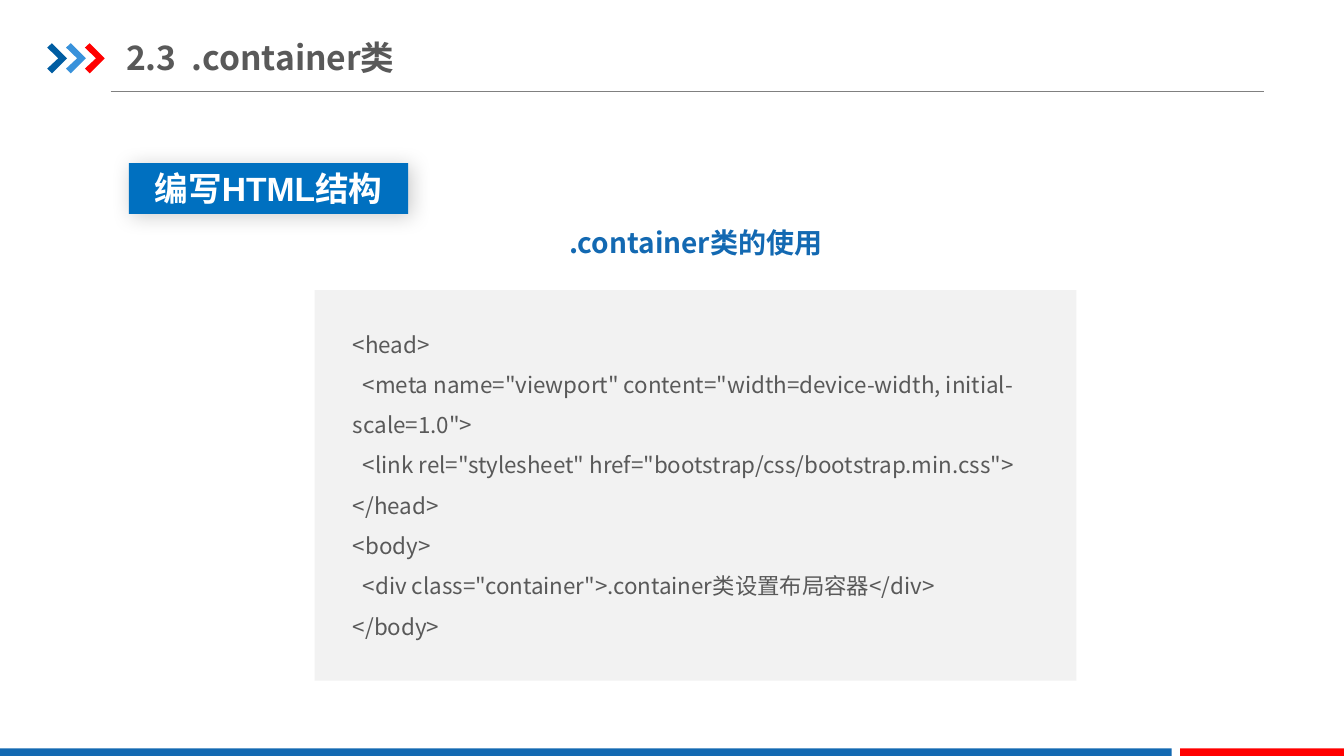
from lxml import etree
from pptx import Presentation
from pptx.dml.color import RGBColor
from pptx.enum.shapes import MSO_CONNECTOR, MSO_SHAPE
from pptx.enum.text import MSO_ANCHOR, MSO_AUTO_SIZE, PP_ALIGN
from pptx.oxml import parse_xml
from pptx.oxml.ns import nsdecls, qn
from pptx.util import Cm, Pt

RECT = MSO_SHAPE.RECTANGLE
STRAIGHT = MSO_CONNECTOR.STRAIGHT
TOP, MIDDLE = MSO_ANCHOR.TOP, MSO_ANCHOR.MIDDLE
LEFT, CENTER = PP_ALIGN.LEFT, PP_ALIGN.CENTER
NO_FIT = MSO_AUTO_SIZE.NONE
CJK = "Noto Sans CJK SC"

TITLE = "2.3  .container类"
LABEL = "编写HTML结构"
CAPTION = ".container类的使用"
CODE = [
    (0, "<head>"),
    (1, '<meta name="viewport" content="width=device-width, initial-scale=1.0">'),
    (1, '<link rel="stylesheet" href="bootstrap/css/bootstrap.min.css">'),
    (0, "</head>"),
    (0, "<body>"),
    (1, '<div class="container">.container类设置布局容器</div>'),
    (0, "</body>"),
]
CODE_INDENT = 0.25

CHEVRON_COLORS = ["005DA2", "3992DB", "FF0000"]
CHEVRON = [(0, 0.11), (0.12, 0), (0.5, 0.38), (0.12, 0.76), (0, 0.64), (0.28, 0.38)]
CHEVRON_LEFT, CHEVRON_TOP, CHEVRON_STEP = 1.19, 1.09, 0.475

FOOTER_BARS = [((0, 18.86, 29.53, 0.23), "1369B2"), ((29.74, 18.86, 4.13, 0.23), "FF0000")]
PANEL = (7.93, 7.31, 19.2, 9.84)
TITLE_BOX = (3.18, 0.74, 12.34, 1.4)
CODE_BOX = (8.64, 7.87, 18.11, 8.46)
CAPTION_BOX = (11.35, 5.13, 12.37, 1.4)
LABEL_BOX = (3.25, 4.11, 7.04, 1.28)

TITLE_STYLE = {"size": Pt(24), "name": CJK, "bold": True, "color": "595959"}
CODE_STYLE = {"size": Pt(16), "name": CJK, "bold": False, "color": "595959"}
CAPTION_STYLE = {"size": Pt(20), "name": CJK, "bold": True, "color": "1369B2"}
LABEL_STYLE = {"size": Pt(24), "name": "Arial", "bold": True, "color": "FFFFFF"}


def rgb(value):
    return RGBColor.from_string(value)


def set_attrs(obj, values):
    for name, value in values.items():
        setattr(obj, name, value)


def place(sp, box):
    set_attrs(sp, dict(zip(("left", "top", "width", "height"), map(Cm, box))))


def paint(sp, color):
    sp.shadow.inherit = False
    sp.fill.solid()
    sp.fill.fore_color.rgb = rgb(color)
    sp.line.fill.background()


def add_bar(shapes, box, color):
    sp = shapes.add_shape(RECT, *map(Cm, box))
    paint(sp, color)
    return sp


def write(p, text, style, **layout):
    set_attrs(p, {"space_before": Pt(0), **layout})
    r = p.add_run()
    r.text = text
    for name, value in style.items():
        if name == "color":
            r.font.color.rgb = rgb(value)
        else:
            setattr(r.font, name, value)
    etree.SubElement(r.font._element, qn("a:ea")).set("typeface", CJK)


def add_label_shadow(sp):
    effects = sp._element.spPr.find(qn("a:effectLst"))
    effects.append(parse_xml(
        f'<a:outerShdw {nsdecls("a")} blurRad="{Pt(15)}" dist="{Pt(3)}" dir="2700000" '
        'algn="tl" rotWithShape="0"><a:srgbClr val="000000">'
        '<a:alpha val="20000"/></a:srgbClr></a:outerShdw>'))


def add_frame(shapes):
    rule = shapes.add_connector(STRAIGHT, Cm(2.79), Cm(2.31), Cm(31.85), Cm(2.31))
    rule.line.color.rgb = rgb("808080")
    rule.line.width = Pt(0.75)
    etree.SubElement(rule._element.spPr, qn("a:effectLst"))
    for i, color in enumerate(CHEVRON_COLORS):
        left = CHEVRON_LEFT + i * CHEVRON_STEP
        points = [(Cm(left + x), Cm(CHEVRON_TOP + y)) for x, y in CHEVRON]
        outline = shapes.build_freeform(*points[0])
        outline.add_line_segments(points[1:], close=True)
        paint(outline.convert_to_shape(), color)
    for box, color in FOOTER_BARS:
        add_bar(shapes, box, color)


def add_title(title):
    place(title, TITLE_BOX)
    tf = title.text_frame
    set_attrs(tf, {"margin_left": 0, "margin_right": 0, "margin_top": Cm(0.18),
                   "margin_bottom": Cm(0.18), "vertical_anchor": MIDDLE,
                   "word_wrap": True, "auto_size": NO_FIT})
    write(tf.paragraphs[0], TITLE, TITLE_STYLE, alignment=LEFT)


def add_code(shapes, body):
    add_bar(shapes, PANEL, "F2F2F2")
    body._element.getparent().append(body._element)
    place(body, CODE_BOX)
    tf = body.text_frame
    set_attrs(tf, {"vertical_anchor": TOP, "word_wrap": True, "auto_size": NO_FIT})
    for i, (level, line) in enumerate(CODE):
        p = tf.add_paragraph() if i else tf.paragraphs[0]
        write(p, line, CODE_STYLE, alignment=LEFT, line_spacing=1.5)
        pPr = p._p.get_or_add_pPr()
        pPr.set("marL", "0")
        pPr.set("indent", str(Cm(level * CODE_INDENT)))
        etree.SubElement(pPr, qn("a:buNone"))


def add_headings(shapes):
    tf = shapes.add_textbox(*map(Cm, CAPTION_BOX)).text_frame
    tf.word_wrap = True
    write(tf.paragraphs[0], CAPTION, CAPTION_STYLE, alignment=CENTER, line_spacing=1.5)
    label = add_bar(shapes, LABEL_BOX, "0070C0")
    add_label_shadow(label)
    tf = label.text_frame
    set_attrs(tf, {"vertical_anchor": MIDDLE, "word_wrap": True})
    write(tf.paragraphs[0], LABEL, LABEL_STYLE, alignment=CENTER)


def main():
    prs = Presentation()
    prs.slide_width, prs.slide_height = Cm(33.87), Cm(19.05)
    slide = prs.slides.add_slide(prs.slide_layouts[1])
    shapes = slide.shapes
    add_frame(shapes)
    add_title(shapes.title)
    add_code(shapes, slide.placeholders[1])
    add_headings(shapes)
    prs.save("out.pptx")


if __name__ == "__main__":
    main()
